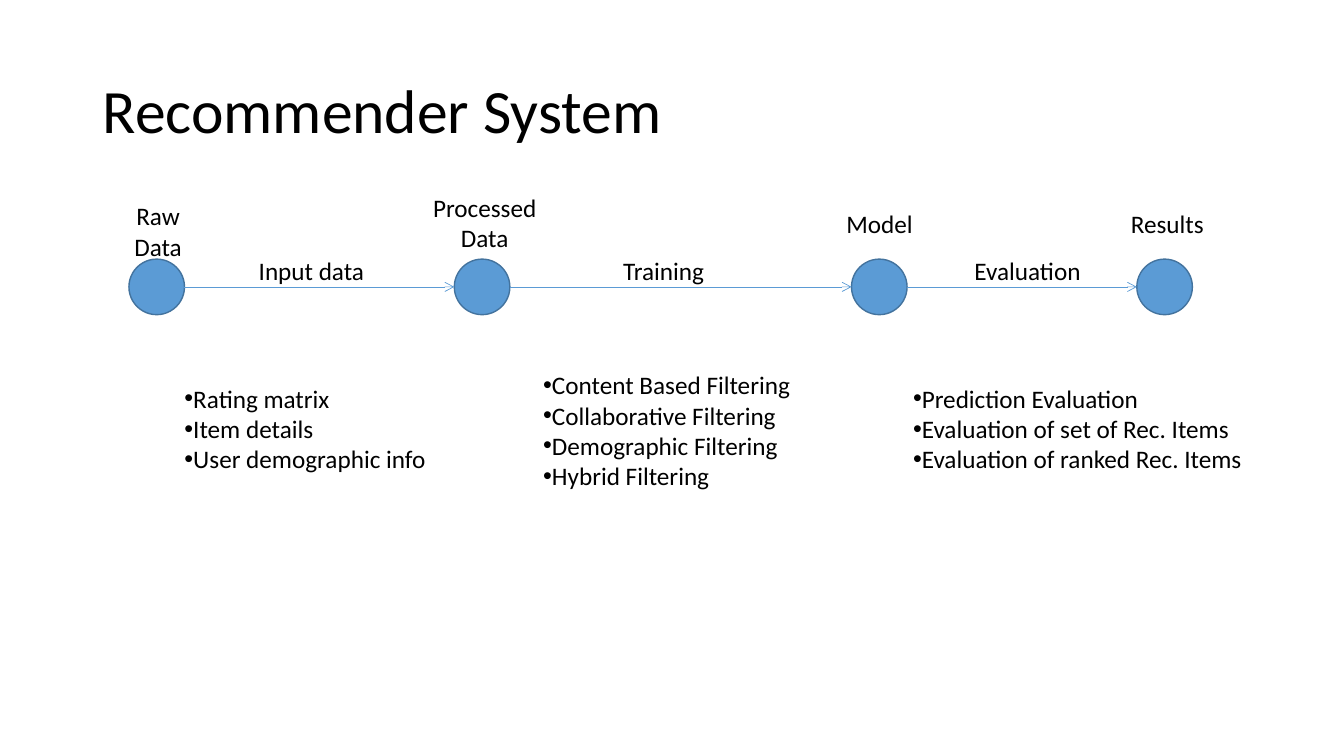
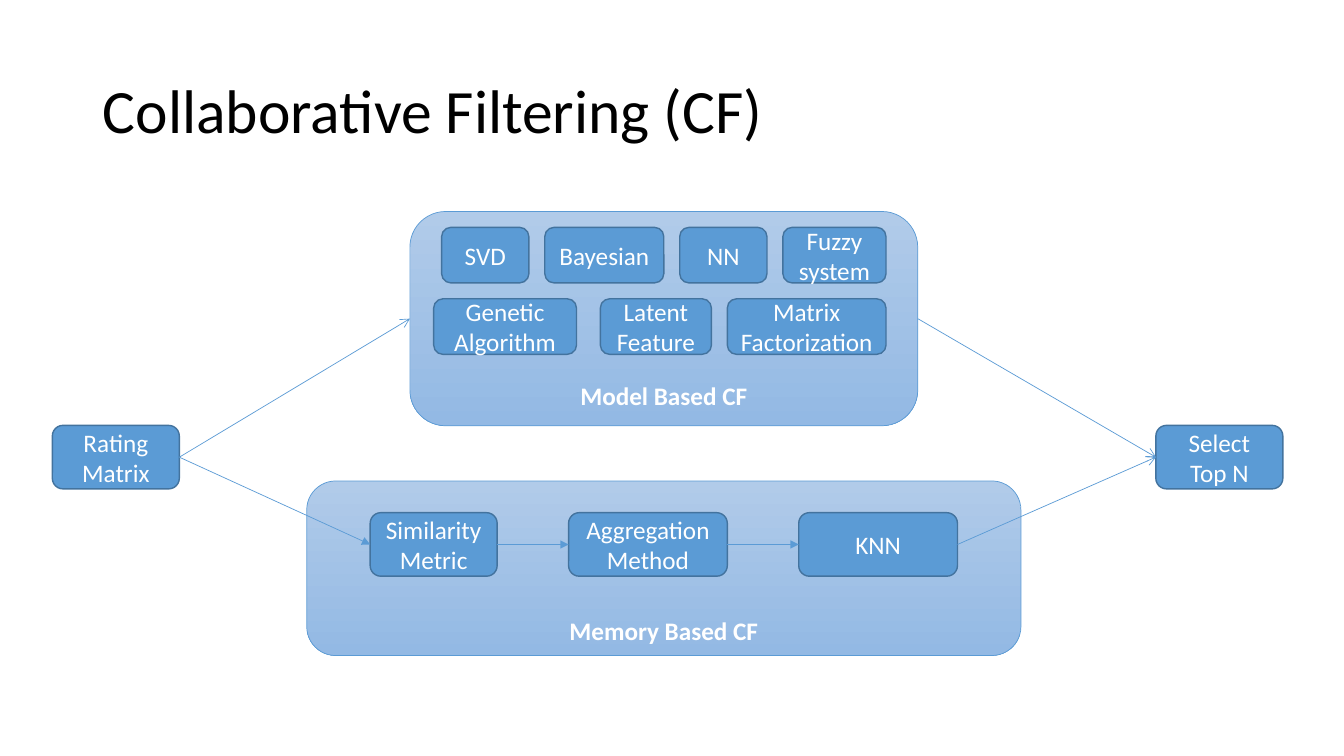
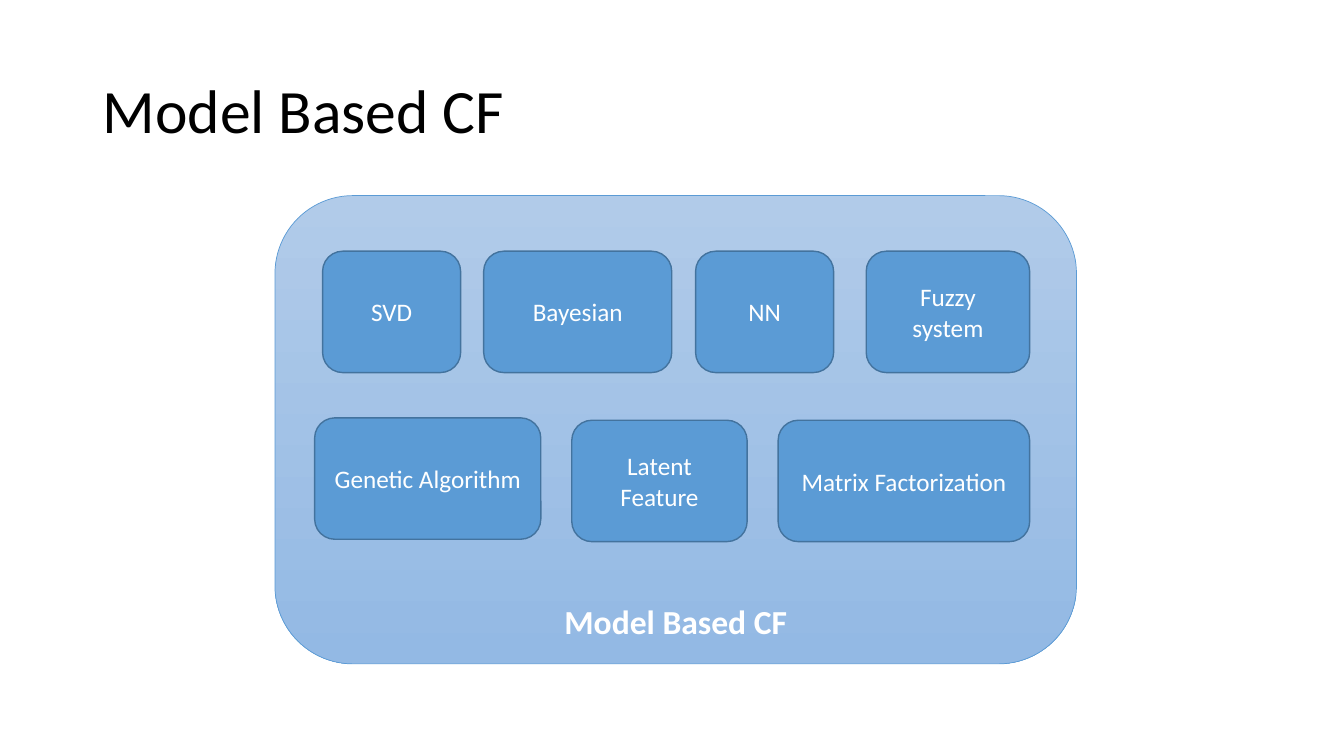
from dataclasses import dataclass

from lxml import etree
from pptx import Presentation
from pptx.dml.color import RGBColor
from pptx.enum.shapes import MSO_CONNECTOR, MSO_SHAPE
from pptx.enum.text import MSO_ANCHOR, PP_ALIGN
from pptx.oxml.ns import qn
from pptx.util import Cm, Pt

STRAIGHT = MSO_CONNECTOR.STRAIGHT
OVAL, ROUNDED = MSO_SHAPE.OVAL, MSO_SHAPE.ROUNDED_RECTANGLE
TOP, MIDDLE, BOTTOM = MSO_ANCHOR.TOP, MSO_ANCHOR.MIDDLE, MSO_ANCHOR.BOTTOM
LEFT, CENTER = PP_ALIGN.LEFT, PP_ALIGN.CENTER
# Connection sites on the left and right of each preset
LEFT_SITE = {OVAL: 2, ROUNDED: 1}
RIGHT_SITE = {OVAL: 6, ROUNDED: 3}


@dataclass(frozen=True)
class Theme:
    font: str = "Calibri"
    ink: RGBColor = RGBColor(0x00, 0x00, 0x00)
    paper: RGBColor = RGBColor(0xFF, 0xFF, 0xFF)
    accent: RGBColor = RGBColor(0x5B, 0x9B, 0xD5)
    outline: RGBColor = RGBColor(0x43, 0x73, 0x9E)
    panel_top: RGBColor = RGBColor(0xB1, 0xCB, 0xE9)
    panel_bottom: RGBColor = RGBColor(0x93, 0xB9, 0xE4)
    title_size: int = 44
    caption_size: int = 24
    body_size: int = 18
    thick: float = 1
    thin: float = 0.5


THEME = Theme()
METHODS = ("SVD", "Bayesian", "NN", "Fuzzy system",
           "Genetic Algorithm", "Latent Feature", "Matrix Factorization")


# Text
def write(shape, lines, color=THEME.ink, size=THEME.body_size, bold=False,
          align=CENTER, anchor=MIDDLE, wrap=True):
    frame = shape.text_frame
    frame.word_wrap = wrap
    frame.vertical_anchor = anchor
    for index, line in enumerate(lines):
        paragraph = frame.add_paragraph() if index else frame.paragraphs[0]
        paragraph.alignment = align
        run = paragraph.add_run()
        run.text = line
        run.font.name = THEME.font
        run.font.size = Pt(size)
        run.font.bold = bold
        run.font.color.rgb = color
    return frame


def add_text(slide, box, lines, **style):
    shape = slide.shapes.add_textbox(*map(Cm, box))
    return write(shape, lines, **style)


def add_label(slide, left, top, width, *lines):
    height = 0.25 + 0.77 * len(lines)
    add_text(slide, (left, top, width, height), lines, anchor=TOP, wrap=False)


def add_bullets(slide, left, top, width, *lines):
    height = 0.25 + 0.77 * len(lines)
    frame = add_text(slide, (left, top, width, height), lines,
                     align=LEFT, anchor=TOP, wrap=False)
    for paragraph in frame.paragraphs:
        properties = paragraph._p.get_or_add_pPr()
        properties.set("marL", "0")
        properties.set("indent", "0")
        etree.SubElement(properties, qn("a:buFont")).set("typeface", "Arial")
        etree.SubElement(properties, qn("a:buChar")).set("char", "•")


# Shapes
def add_block(slide, preset, box, line_color=THEME.outline, line_width=THEME.thick):
    shape = slide.shapes.add_shape(preset, *map(Cm, box))
    shape.shadow.inherit = False
    shape.fill.solid()
    shape.fill.fore_color.rgb = THEME.accent
    shape.line.color.rgb = line_color
    shape.line.width = Pt(line_width)
    return shape


def add_step(slide, box, text):
    shape = add_block(slide, ROUNDED, box)
    write(shape, [text], color=THEME.paper)
    return shape


def add_panel(slide, box, caption, caption_gap=0, size=THEME.body_size):
    panel = add_block(slide, ROUNDED, box, THEME.accent, THEME.thin)
    panel.fill.gradient()
    panel.fill.gradient_angle = 270
    for stop, color in zip(panel.fill.gradient_stops,
                           (THEME.panel_top, THEME.panel_bottom)):
        stop.color.rgb = color
    frame = write(panel, [caption], color=THEME.paper, size=size, bold=True,
                  anchor=BOTTOM)
    frame.margin_bottom = Cm(caption_gap)
    return panel


def add_arrow(slide, source, target, head="arrow"):
    """Join the right side of source to the left side of target."""
    connector = slide.shapes.add_connector(
        STRAIGHT,
        source.left + source.width, source.top + source.height // 2,
        target.left, target.top + target.height // 2)
    connector.line.color.rgb = THEME.accent
    connector.line.width = Pt(THEME.thin)
    element = connector._element
    # Glue both ends to their shapes
    joints = element.nvCxnSpPr.cNvCxnSpPr
    for tag, shape, sites in (("a:stCxn", source, RIGHT_SITE),
                              ("a:endCxn", target, LEFT_SITE)):
        joint = etree.SubElement(joints, qn(tag))
        joint.set("id", str(shape.shape_id))
        joint.set("idx", str(sites[shape.auto_shape_type]))
    # Arrowhead, and no shadow
    line = element.spPr.find(qn("a:ln"))
    etree.SubElement(line, qn("a:tailEnd")).set("type", head)
    etree.SubElement(element.spPr, qn("a:effectLst"))


def add_chain(slide, shapes, head="arrow"):
    for source, target in zip(shapes, shapes[1:]):
        add_arrow(slide, source, target, head)


# Regions
def add_method_panel(slide, box, cells, cell_height, **caption_style):
    """Cells hold left, top and width, measured from the panel's corner."""
    panel = add_panel(slide, box, "Model Based CF", **caption_style)
    for method, (left, top, width) in zip(METHODS, cells):
        add_step(slide, (box[0] + left, box[1] + top, width, cell_height), method)
    return panel


def add_memory_panel(slide, box):
    add_panel(slide, box, "Memory Based CF", caption_gap=0.04)
    steps = [add_step(slide, (box[0] + left, box[1] + 0.8, width, 1.6), text)
             for left, width, text in ((1.6, 3.2, "Similarity Metric"),
                                       (6.6, 4, "Aggregation Method"),
                                       (12.4, 4, "KNN"))]
    add_chain(slide, steps, "triangle")
    return steps


def add_titled_slide(presentation, title):
    slide = presentation.slides.add_slide(presentation.slide_layouts[6])
    frame = add_text(slide, (2.34, 1.02, 29.21, 3.68), [title],
                     size=THEME.title_size, align=LEFT)
    frame.paragraphs[0].line_spacing = 0.9
    return slide


# Slides
def build_pipeline(presentation):
    slide = add_titled_slide(presentation, "Recommender System")
    nodes = [add_block(slide, OVAL, (left, 6.53, 1.4, 1.4))
             for left in (3.25, 11.45, 21.46, 28.65)]
    add_chain(slide, nodes)
    # Node names
    add_label(slide, 3.12, 4.93, 1.73, "Raw", "Data")
    add_label(slide, 10.64, 4.72, 3.15, "Processed", "Data")
    add_label(slide, 21.06, 5.13, 2.21, "Model")
    add_label(slide, 28.24, 5.13, 2.36, "Results")
    # Arrow names
    add_label(slide, 6.25, 6.3, 3.2, "Input data")
    add_label(slide, 15.44, 6.32, 2.57, "Training")
    add_label(slide, 24.28, 6.32, 3.23, "Evaluation")
    # Details of each stage
    add_bullets(slide, 4.4, 9.53, 6.65,
                "Rating matrix", "Item details", "User demographic info")
    add_bullets(slide, 13.44, 9.19, 6.81,
                "Content Based Filtering", "Collaborative Filtering",
                "Demographic Filtering", "Hybrid Filtering")
    add_bullets(slide, 22.76, 9.53, 8.89,
                "Prediction Evaluation", "Evaluation of set of Rec. Items",
                "Evaluation of ranked Rec. Items")


def build_collaborative(presentation):
    slide = add_titled_slide(presentation, "Collaborative Filtering (CF)")
    cells = ((0.8, 0.4, 2.2), (3.4, 0.4, 3), (6.8, 0.4, 2.2), (9.4, 0.4, 2.6),
             (0.6, 2.2, 3.6), (4.8, 2.2, 2.8), (8, 2.2, 4))
    model = add_method_panel(slide, (10.33, 5.33, 12.8, 5.4), cells, 1.4,
                             caption_gap=0.11)
    similarity, _, neighbours = add_memory_panel(slide, (7.73, 12.12, 18, 4.4))
    rating = add_step(slide, (1.32, 10.72, 3.2, 1.6), "Rating Matrix")
    selection = add_step(slide, (29.13, 10.72, 3.2, 1.6), "Select Top N")
    add_chain(slide, (rating, model, selection))
    add_arrow(slide, rating, similarity, "triangle")
    add_arrow(slide, neighbours, selection)


def build_model_based(presentation):
    slide = add_titled_slide(presentation, "Model Based CF")
    cells = ((1.2, 1.4, 3.48), (5.26, 1.4, 4.74), (10.6, 1.4, 3.48), (14.9, 1.4, 4.12),
             (1, 5.6, 5.7), (7.48, 5.66, 4.42), (12.68, 5.66, 6.34))
    add_method_panel(slide, (6.93, 4.93, 20.2, 11.8), cells, 3.06,
                     size=THEME.caption_size)


def main():
    presentation = Presentation()
    presentation.slide_width = Cm(33.87)
    presentation.slide_height = Cm(19.05)
    build_pipeline(presentation)
    build_collaborative(presentation)
    build_model_based(presentation)
    presentation.save("out.pptx")


if __name__ == "__main__":
    main()
